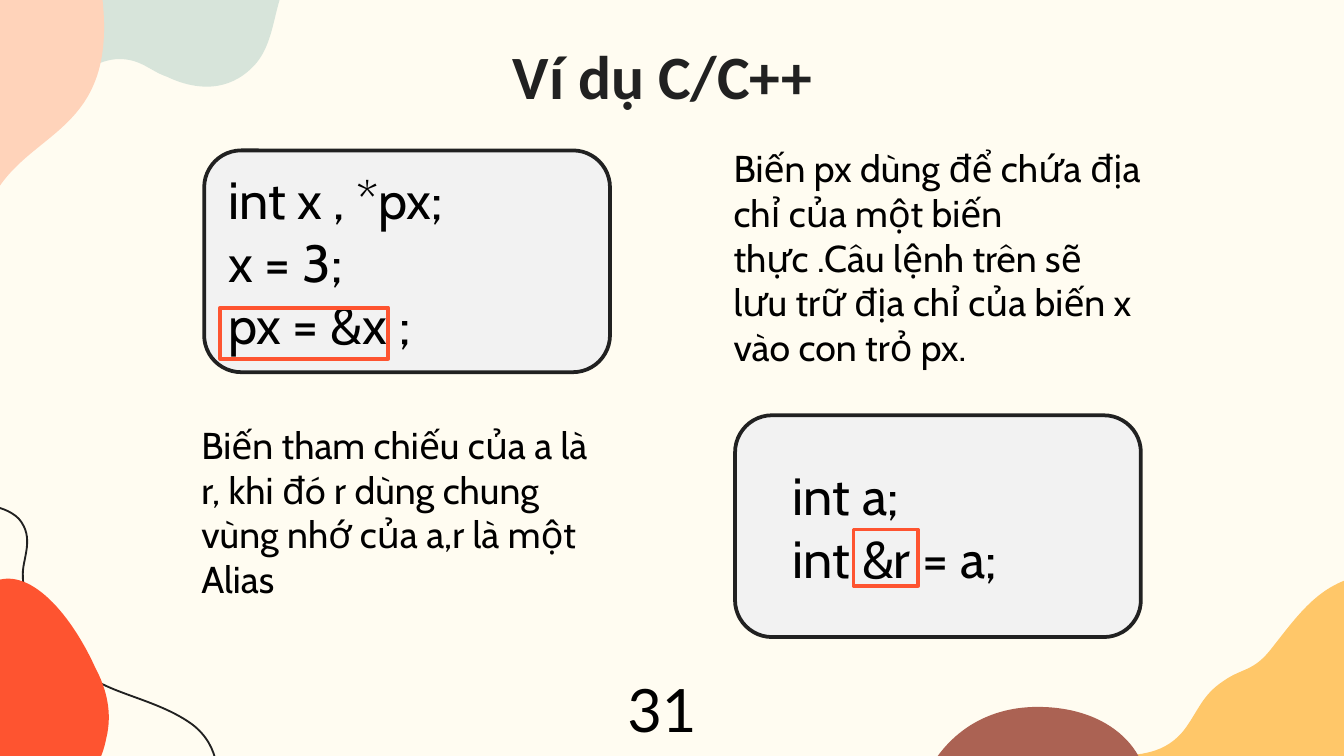
from lxml import etree
from pptx import Presentation
from pptx.dml.color import RGBColor
from pptx.enum.shapes import MSO_SHAPE
from pptx.enum.text import MSO_ANCHOR, PP_ALIGN
from pptx.oxml.ns import qn
from pptx.util import Pt

ROUNDED, RECTANGLE = MSO_SHAPE.ROUNDED_RECTANGLE, MSO_SHAPE.RECTANGLE
TOP, MIDDLE = MSO_ANCHOR.TOP, MSO_ANCHOR.MIDDLE
LEFT, CENTER = PP_ALIGN.LEFT, PP_ALIGN.CENTER

INK, BLACK, ACCENT, CARD_FILL = "212121", "000000", "FE5430", "F2F2F2"
CARD_SIZE = (217.4, 118.8)
CODE = {"name": "Cabin", "size": Pt(28)}
PROSE = {"name": "Cabin", "size": Pt(20)}
NUMBER = {"name": "Lato", "size": Pt(32)}
HEADING = {"name": "Calibri", "size": Pt(33), "bold": True}

OUTLINE_UNIT = Pt(0.72)
MINT = [(-5, -58), (-5, 61), (39, 92, 55, 44, 89, 44), (105, 44, 112, 53, 124, 57),
        (147, 68, 170, 68, 188, 50), (207, 31, 202, 0, 218, -21), (309, -58)]
PEACH = [(-9, 155), (15, 94, 92, 105, 75, -10), (-106, -10), (-106, 584),
         (41, 584), (-42, 374)]
YELLOW = [(1036, 426), (1036, 628), (776, 628), (773, 616, 774, 602, 781, 587),
          (801, 543, 853, 581, 882, 542), (892, 528, 895, 517, 910, 507),
          (924, 497, 932, 500, 945, 484), (971, 451, 987, 426, 1036, 426)]
THREAD = [(-10, 376), (-1, 377, 8, 380, 14, 386), (26, 400, 17, 415, 17, 427),
          (17, 470, 50, 455, 55, 485), (59, 515, 110, 515, 143, 539),
          (164, 555, 165, 580, 158, 604)]
RED = [(-21, 519), (0, 600, 67, 610, 79, 550), (84, 530, 79, 512, 71, 497),
       (52, 455, 18, 416, -10, 436), (-30, 450, -30, 486, -21, 519)]
BROWN = [(772, 526), (728, 526, 697, 552, 684, 589), (655, 660, 690, 681, 730, 681),
         (780, 681, 840, 645, 852, 602), (862, 566, 832, 526, 772, 526)]


def color(value):
    return RGBColor.from_string(value)


def paint(shape, fill=None, line=None, width=2):
    shape.shadow.inherit = False
    if fill:
        shape.fill.solid()
        shape.fill.fore_color.rgb = color(fill)
    else:
        shape.fill.background()
    if line:
        shape.line.color.rgb = color(line)
        shape.line.width = Pt(width)
    else:
        shape.line.fill.background()


def add_outline(page, outline, closed=True):
    start, *segments = outline
    builder = page.shapes.build_freeform(*start, scale=OUTLINE_UNIT)
    points = [pair for part in segments for pair in zip(part[::2], part[1::2])]
    builder.add_line_segments(points, close=closed)
    shape = builder.convert_to_shape()
    steps = iter(shape._element.findall(".//" + qn("a:lnTo")))
    for segment in segments:
        group = [next(steps) for _ in segment[::2]]
        if len(group) == 3:
            curve = etree.Element(qn("a:cubicBezTo"))
            group[0].addprevious(curve)
            for step in group:
                curve.append(step[0])
                step.getparent().remove(step)
    return shape


def add_decoration(page):
    for outline, fill in [(MINT, "D7E4DA"), (PEACH, "FFD3BA"), (YELLOW, "FFC769")]:
        paint(add_outline(page, outline), fill)
    paint(add_outline(page, THREAD, closed=False), line=INK, width=1)
    for outline, fill in [(RED, ACCENT), (BROWN, "AB6253")]:
        paint(add_outline(page, outline), fill)


def write(shape, lines, style, ink=BLACK, align=LEFT, anchor=TOP):
    frame = shape.text_frame
    frame.word_wrap = True
    frame.vertical_anchor = anchor
    frame.text = "\n".join(lines)
    for para in frame.paragraphs:
        para.alignment = align
        for span in para.runs:
            span.font.color.rgb = color(ink)
            for name, value in style.items():
                setattr(span.font, name, value)


def add_title(page, box, text):
    title = page.shapes.title
    title.left, title.top, title.width, title.height = map(Pt, box)
    write(title, [text], HEADING, INK, CENTER)
    title.text_frame.margin_top = 0


def add_text(page, box, text, style):
    write(page.shapes.add_textbox(*map(Pt, box)), [text], style)


def add_code_card(page, box, lines, indent, highlight):
    left, top = box[:2]
    card = page.shapes.add_shape(ROUNDED, *map(Pt, box))
    paint(card, CARD_FILL, INK)
    write(card, lines, CODE, anchor=MIDDLE)
    card.text_frame.margin_left = Pt(7.2 + indent)
    across, down, width, height = highlight
    mark = page.shapes.add_shape(
        RECTANGLE, Pt(left + across), Pt(top + down), Pt(width), Pt(height))
    paint(mark, line=ACCENT)


def main():
    deck = Presentation()
    deck.slide_width, deck.slide_height = Pt(720), Pt(405)
    page = deck.slides.add_slide(deck.slide_layouts[5])
    page.background.fill.solid()
    page.background.fill.fore_color.rgb = color("FFFCF1")

    add_decoration(page)
    add_title(page, (51.1, 20.2, 607.7, 46.1), "Ví dụ C/C++")
    add_code_card(page, (393.8, 222.5, *CARD_SIZE), ["int a;", "int &r = a;"],
                  18, (63.4, 61.2, 34.6, 30.2))
    add_code_card(page, (109.4, 80.6, *CARD_SIZE), ["int x , *px;", "x = 3;", "px = &x ;"],
                  0, (8.6, 84.2, 90, 27.4))
    add_text(page, (100.8, 222.5, 225.4, 104.4),
             "Biến tham chiếu của a là r, khi đó r dùng chung vùng nhớ của a,r là một Alias", PROSE)
    add_text(page, (385.9, 74.2, 233.3, 128.2),
             "Biến px dùng để chứa địa chỉ của một biến thực .Câu lệnh trên sẽ "
             "lưu trữ địa chỉ của biến x vào con trỏ px.", PROSE)
    add_text(page, (329, 357.1, 58.3, 46.1), "31", NUMBER)
    deck.save("out.pptx")


if __name__ == "__main__":
    main()
